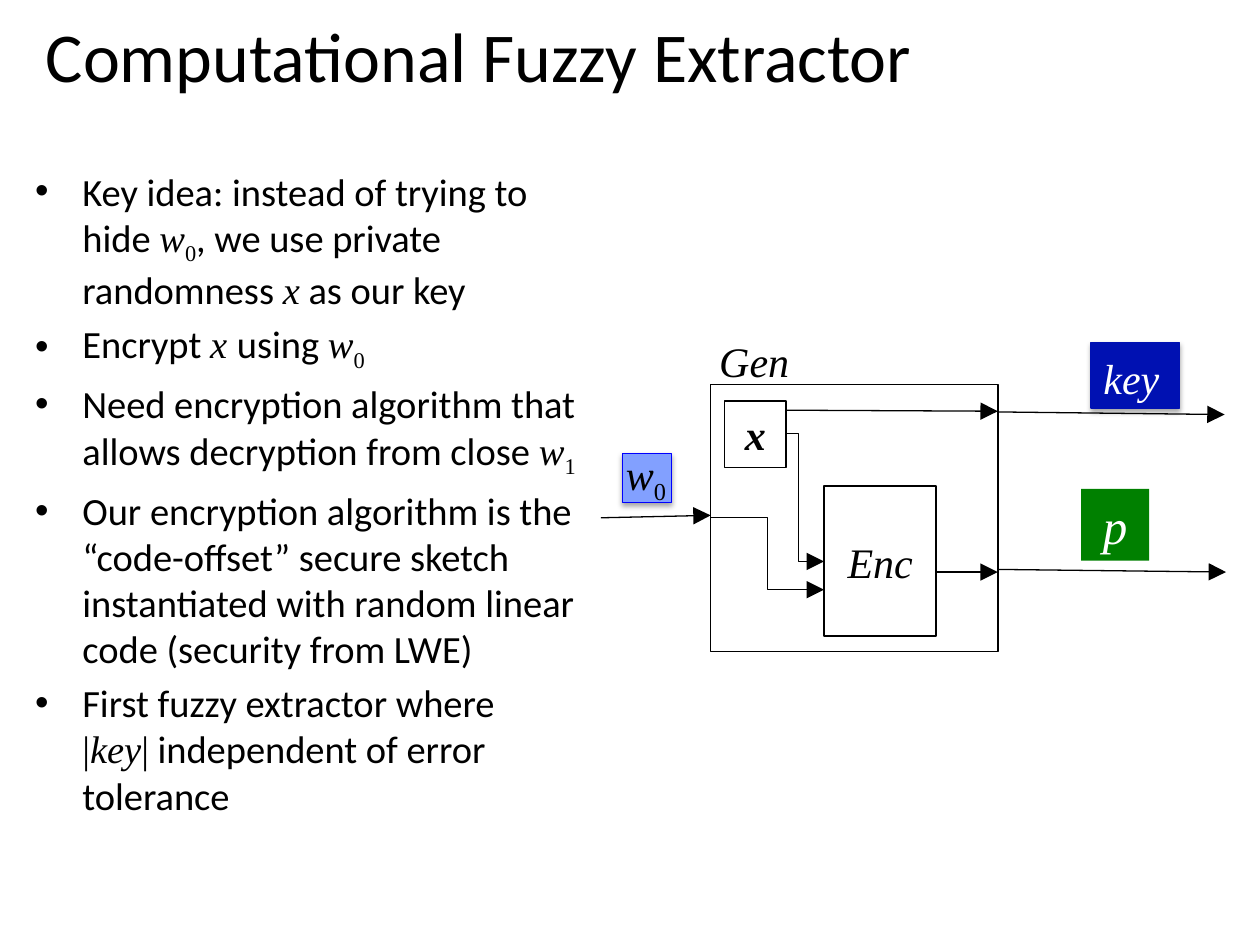
from lxml import etree
from pptx import Presentation
from pptx.dml.color import RGBColor
from pptx.enum.shapes import MSO_CONNECTOR, MSO_SHAPE
from pptx.enum.text import MSO_ANCHOR, PP_ALIGN
from pptx.oxml.ns import qn
from pptx.util import Pt

RECT = MSO_SHAPE.RECTANGLE
LINE, BENT = MSO_CONNECTOR.STRAIGHT, MSO_CONNECTOR.ELBOW
LEFT, MID = PP_ALIGN.LEFT, PP_ALIGN.CENTER
TOP, CORE = MSO_ANCHOR.TOP, MSO_ANCHOR.MIDDLE
SANS, SERIF = "Calibri", "Times New Roman"
HUES = {"ink": "000000", "paper": "FFFFFF", "navy": "0011B2",
        "sky": "82A0FF", "blue": "0000FF", "green": "008000"}
PLAIN, MATH, SUB, ROMAN, BOLD = "plain", "math", "sub", "roman", "bold"

POINTS = [
    [("Key idea: instead of trying to hide ", PLAIN), ("w", MATH), ("0", SUB),
     (", we use private randomness ", PLAIN), ("x", MATH), (" as our key", PLAIN)],
    [("Encrypt ", PLAIN), ("x ", MATH), ("using ", PLAIN), ("w", MATH), ("0", SUB)],
    [("Need encryption algorithm that allows decryption from close ", PLAIN),
     ("w", MATH), ("1", SUB)],
    [("Our encryption algorithm is the “code-offset” secure sketch instantiated "
      "with random linear code (security from LWE)", PLAIN)],
    [("First fuzzy extractor where ", PLAIN), ("\n", PLAIN), ("|", ROMAN),
     ("key", MATH), ("|", ROMAN), (" independent of error tolerance", PLAIN)],
]
ARROWS = [
    (343.4, 295.9, 406.1, 294.5), (570.2, 235.4, 699.8, 236.9),
    (571, 325.4, 700.6, 326.9), (449.3, 234.4, 570.2, 235),
    (535, 326.9, 570.2, 326.9),
]
BENDS = [((406.1, 295.9, 470.9, 337), 0.5), ((449.3, 247.7, 470.9, 320.8), 0.33)]


def color(name):
    """Return the named colour."""
    return RGBColor.from_string(HUES[name])


def add_runs(para, runs, size, hue="ink"):
    """Add styled runs to a paragraph."""
    for text, style in runs:
        if text == "\n":
            para.add_line_break()
            continue
        run = para.add_run()
        run.text = text
        font = run.font
        font.name = SANS if style == PLAIN else SERIF
        font.size = Pt(size)
        font.color.rgb = color(hue)
        font.italic = style in (MATH, BOLD)
        font.bold = style == BOLD
        if style == SUB:
            font._element.set("baseline", "-25000")


def add_text(slide, box, runs, size, hue="ink", align=LEFT, anchor=TOP, wrap=False):
    """Add a text box with one paragraph."""
    frame = slide.shapes.add_textbox(*map(Pt, box)).text_frame
    frame.word_wrap = wrap
    frame.vertical_anchor = anchor
    para = frame.paragraphs[0]
    para.alignment = align
    add_runs(para, runs, size, hue)


def add_list(slide, box, items):
    """Add the bulleted list."""
    frame = slide.shapes.add_textbox(*map(Pt, box)).text_frame
    frame.word_wrap = True
    for i, runs in enumerate(items):
        para = frame.add_paragraph() if i else frame.paragraphs[0]
        para.space_before = Pt(4.4)
        props = para._p.get_or_add_pPr()
        props.set("marL", str(Pt(27)))
        props.set("indent", str(-Pt(27)))
        etree.SubElement(props, qn("a:buFont")).set("typeface", "Arial")
        etree.SubElement(props, qn("a:buChar")).set("char", "•")
        add_runs(para, runs, 22)


def add_box(slide, box, fill=None, edge="ink", width=0.75, runs=(), size=24,
            hue="ink", anchor=CORE, wrap=True):
    """Add a rectangle with optional fill, edge and text."""
    shape = slide.shapes.add_shape(RECT, *map(Pt, box))
    shape.shadow.inherit = False
    if fill:
        shape.fill.solid()
        shape.fill.fore_color.rgb = color(fill)
    else:
        shape.fill.background()
    if edge:
        shape.line.color.rgb = color(edge)
        shape.line.width = Pt(width)
    else:
        shape.line.fill.background()
    frame = shape.text_frame
    frame.word_wrap = wrap
    frame.vertical_anchor = anchor
    frame.paragraphs[0].alignment = MID
    add_runs(frame.paragraphs[0], runs, size, hue)
    return shape


def add_shade(shape):
    """Give a shape a soft shadow below it."""
    effect = shape._element.spPr.find(qn("a:effectLst"))
    shade = etree.SubElement(effect, qn("a:outerShdw"), blurRad=str(Pt(3.1)),
                             dist=str(Pt(1.8)), dir="5400000", rotWithShape="0")
    tint = etree.SubElement(shade, qn("a:srgbClr"), val=HUES["ink"])
    etree.SubElement(tint, qn("a:alpha"), val="35000")


def add_arrow(slide, ends, bend=None):
    """Add a straight arrow, or an elbow one that turns at bend."""
    link = slide.shapes.add_connector(BENT if bend else LINE, *map(Pt, ends))
    link.line.color.rgb = color("ink")
    link.line.width = Pt(0.75)
    props = link._element.spPr
    etree.SubElement(props.find(qn("a:ln")), qn("a:tailEnd"),
                     type="triangle", w="lg", len="lg")
    etree.SubElement(props, qn("a:effectLst"))
    if bend:
        guides = props.find(qn("a:prstGeom")).find(qn("a:avLst"))
        etree.SubElement(guides, qn("a:gd"), name="adj1",
                         fmla=f"val {round(bend * 100000)}")


def main():
    """Build the slide."""
    deck = Presentation()
    deck.slide_width, deck.slide_height = Pt(720), Pt(540)
    slide = deck.slides.add_slide(deck.slide_layouts[6])
    add_text(slide, (-72, -13.7, 691.2, 90),
             [("Computational Fuzzy Extractor", PLAIN)], 40,
             align=MID, anchor=CORE, wrap=True)
    add_list(slide, (13, 92.2, 331.2, 371.5), POINTS)
    add_box(slide, (470.9, 277.9, 64.1, 85.7), width=1, runs=[("Enc", MATH)])
    add_shade(add_box(slide, (623.5, 195.8, 50.4, 37.4), "navy", "navy"))
    add_shade(add_box(slide, (355.7, 259.2, 28.1, 28.1), "sky", "blue"))
    add_box(slide, (406.1, 219.6, 164.2, 152.6))
    add_text(slide, (403.9, 187.9, 62.6, 36), [("Gen", MATH)], 24)
    add_text(slide, (350.6, 252.7, 41.8, 36), [("w", MATH), ("0", SUB)], 24)
    add_text(slide, (623.5, 198, 54.7, 36), [("key", MATH)], 24, "paper")
    add_box(slide, (617.8, 279.4, 38.9, 41), "green", None, runs=[("p", MATH)],
            size=28, hue="paper", anchor=TOP, wrap=False)
    add_box(slide, (414, 229, 35.3, 38.2), "paper", width=1, runs=[("x", BOLD)])
    for ends in ARROWS:
        add_arrow(slide, ends)
    for ends, bend in BENDS:
        add_arrow(slide, ends, bend)
    deck.save("out.pptx")


if __name__ == "__main__":
    main()
